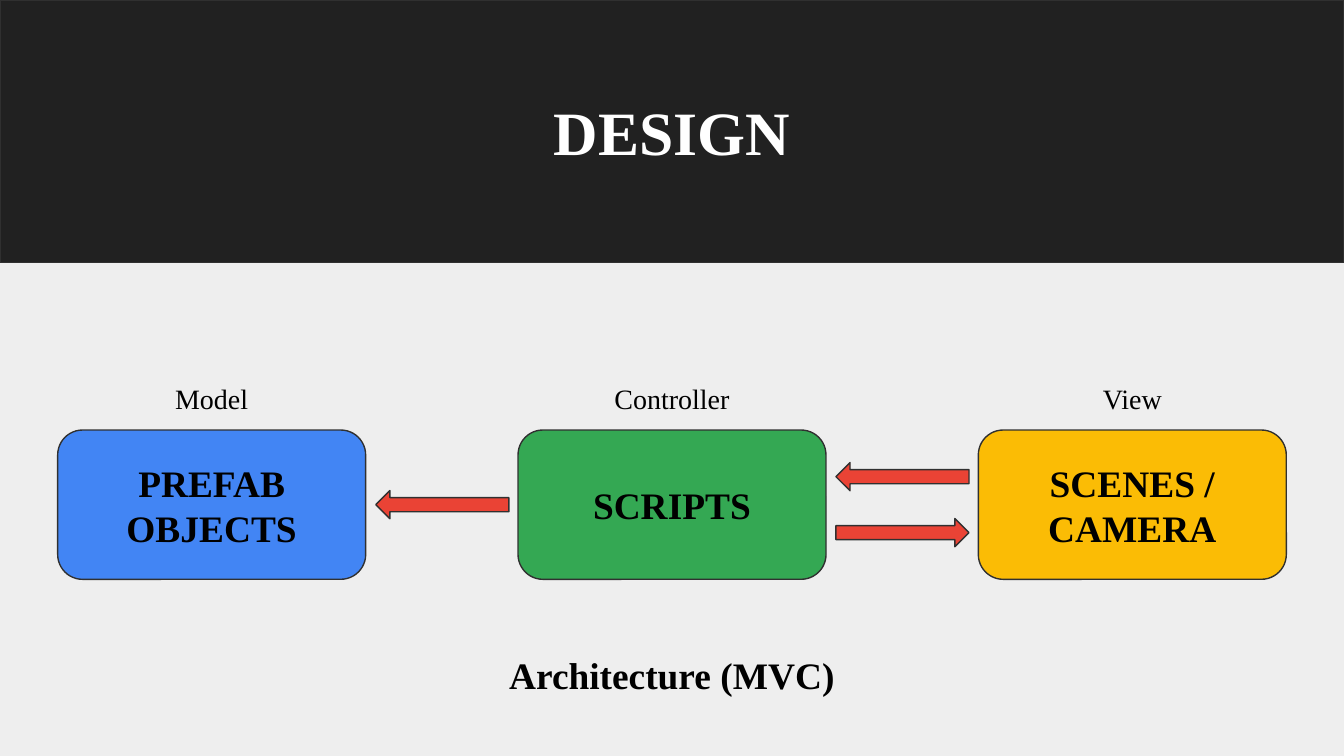
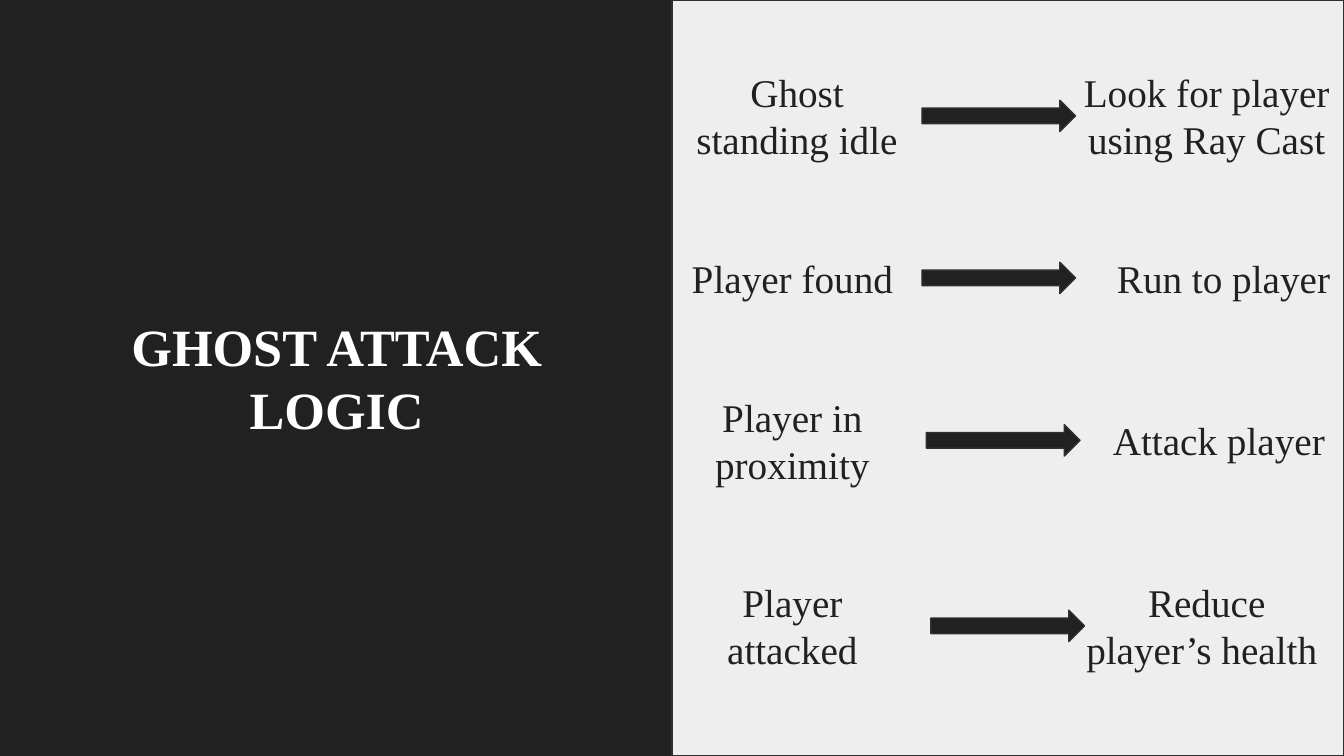
from pptx import Presentation
from pptx.dml.color import RGBColor
from pptx.enum.shapes import MSO_SHAPE
from pptx.enum.text import MSO_ANCHOR, MSO_AUTO_SIZE, PP_ALIGN
from pptx.util import Pt

DARK, LIGHT, OUTLINE = "212121", "EEEEEE", "303030"
WHITE, BLACK, RED = "FFFFFF", "000000", "EA4335"
FONT = "Times New Roman"
WIDTH, HEIGHT = 720, 405


def add_shape(slide, kind, left, top, width, height, fill, rotation=0):
    shape = slide.shapes.add_shape(kind, Pt(left), Pt(top), Pt(width), Pt(height))
    shape.shadow.inherit = False
    shape.fill.solid()
    shape.fill.fore_color.rgb = RGBColor.from_string(fill)
    shape.line.color.rgb = RGBColor.from_string(OUTLINE)
    shape.line.width = Pt(0.75)
    shape.rotation = rotation
    return shape


def add_text(slide, text, left=0, top=0, width=0, height=0, shape=None,
             size=20, color=BLACK, bold=False):
    """Write centred text into a given shape, or into a new text box."""
    frame = shape.text_frame if shape else slide.shapes.add_textbox(
        Pt(left), Pt(top), Pt(width), Pt(height)).text_frame
    frame.word_wrap = True
    frame.margin_left = frame.margin_right = Pt(7.2)
    frame.margin_top = frame.margin_bottom = Pt(7.2)
    if shape:
        frame.vertical_anchor = MSO_ANCHOR.MIDDLE
    else:
        frame.vertical_anchor = MSO_ANCHOR.TOP
        frame.auto_size = MSO_AUTO_SIZE.SHAPE_TO_FIT_TEXT
    paragraph = frame.paragraphs[0]
    paragraph.alignment = PP_ALIGN.CENTER
    run = paragraph.add_run()
    run.text = text
    run.font.name = FONT
    run.font.size = Pt(size)
    run.font.bold = bold
    run.font.color.rgb = RGBColor.from_string(color)


presentation = Presentation()
presentation.slide_width = Pt(WIDTH)
presentation.slide_height = Pt(HEIGHT)
slides = []
for background in (LIGHT, DARK):
    slide = presentation.slides.add_slide(presentation.slide_layouts[6])
    slide.background.fill.solid()
    slide.background.fill.fore_color.rgb = RGBColor.from_string(background)
    slides.append(slide)
design, logic = slides

# Design: title band
add_shape(design, MSO_SHAPE.RECTANGLE, 0, 0, WIDTH, 140.5, DARK)
add_text(design, "DESIGN", 179.5, 43.2, 361, 54.7, size=33, color=WHITE, bold=True)

# Design: one box with its role above it, per layer
box_width, label_width = 165, 85
layers = [
    ("Model", "PREFAB OBJECTS", "4285F4"),
    ("Controller", "SCRIPTS", "34A853"),
    ("View", "SCENES / CAMERA", "FBBC05"),
]
for index, (role, content, fill) in enumerate(layers):
    center = WIDTH / 2 + (index - 1) * 246.6
    box = add_shape(design, MSO_SHAPE.ROUNDED_RECTANGLE,
                    center - box_width / 2, 230.4, box_width, 80, fill)
    add_text(design, content, shape=box, bold=True)
    add_text(design, role, center - label_width / 2, 197.3, label_width, 32.4, size=15)

# Design: arrows between the layers
for left, top, rotation in [(201.3, 262.8, 180), (447.8, 277.8, 0), (447.8, 247.8, 180)]:
    add_shape(design, MSO_SHAPE.RIGHT_ARROW, left, top, 71.3, 15.1, RED, rotation)

add_text(design, "Architecture (MVC)", 203, 342, 314, 38.9, bold=True)

# Ghost attack logic: panel and title
add_shape(logic, MSO_SHAPE.RECTANGLE, WIDTH / 2, 0, WIDTH / 2, HEIGHT, LIGHT)
add_text(logic, "GHOST ATTACK LOGIC", 21.6, 161.3, 317.5, 82,
         size=28, color=WHITE, bold=True)

# Ghost attack logic: state, arrow and reaction, with text boxes at the panel's edges
one_line, two_lines = 40.3, 65.5
steps = [
    (62.2, "Ghost standing idle", 134, two_lines, 493.9,
     "Look for player using Ray Cast", 147, two_lines),
    (149, "Player found", 129, one_line, 493.9, "Run to player", 129, one_line),
    (236, "Player in proximity", 129, two_lines, 496.3, "Attack player", 134, one_line),
    (335.4, "Player attacked", 129, two_lines, 498.7,
     "Reduce player’s health ", 147, two_lines),
]
for (middle, state, state_width, state_height, arrow_left,
     reaction, reaction_width, reaction_height) in steps:
    add_text(logic, state, WIDTH / 2, middle - state_height / 2,
             state_width, state_height, size=21, color=DARK)
    add_text(logic, reaction, WIDTH - reaction_width, middle - reaction_height / 2,
             reaction_width, reaction_height, size=21, color=DARK)
    add_shape(logic, MSO_SHAPE.RIGHT_ARROW, arrow_left, middle - 8.5, 82.3, 16.8, DARK)

presentation.save("out.pptx")
